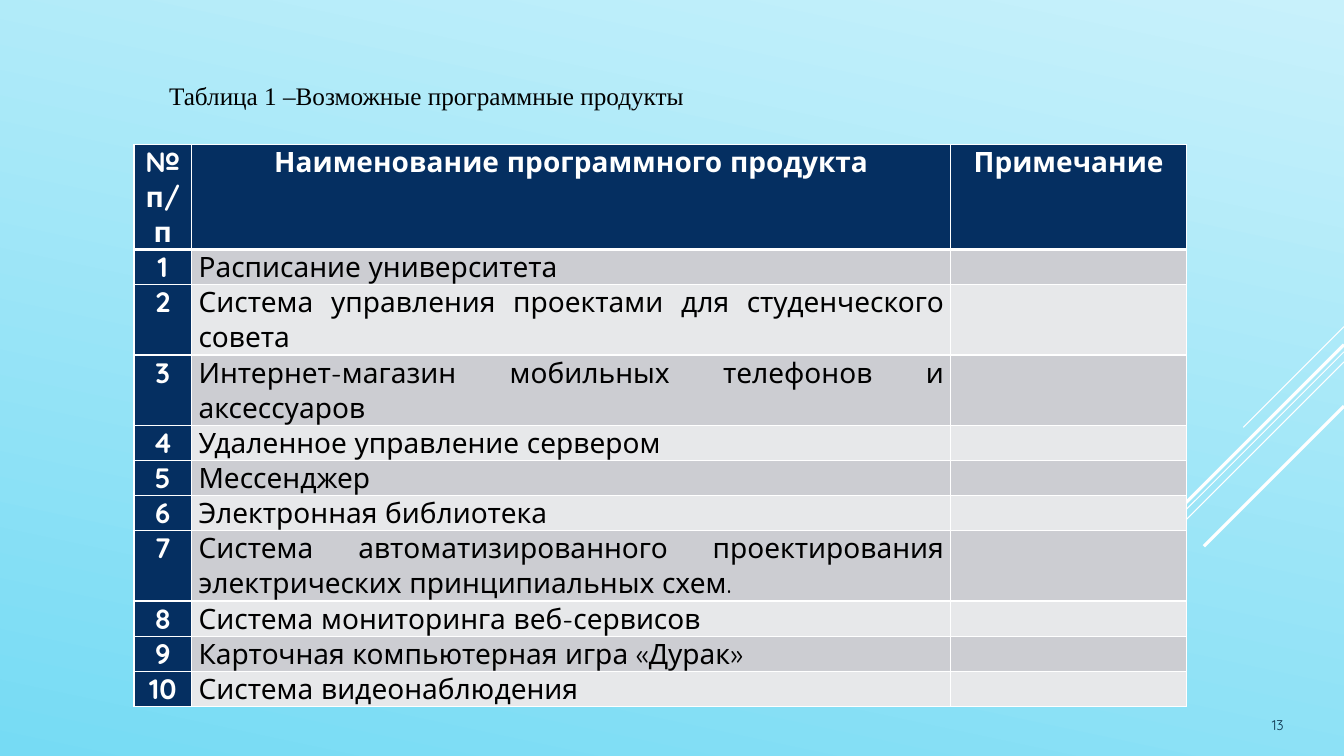
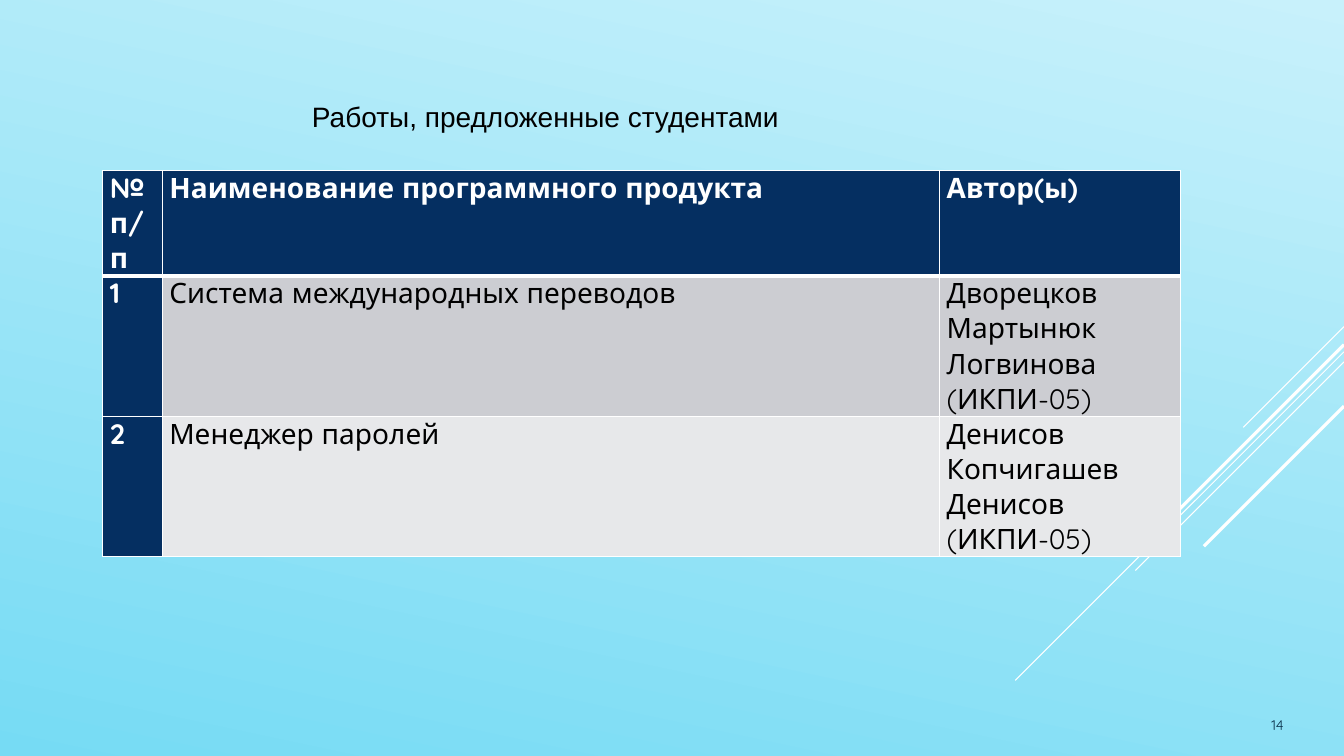
from pptx import Presentation
from pptx.dml.color import RGBColor as RGB
from pptx.enum.shapes import MSO_CONNECTOR as CONN
from pptx.enum.text import MSO_ANCHOR as ANCHOR, MSO_AUTO_SIZE as AUTO, PP_ALIGN as ALIGN
from pptx.oxml import parse_xml
from pptx.oxml.ns import nsdecls
from pptx.util import Emu, Pt

PX = 9144
W, H = 1333, 750
COLORS = {
    "bg_light": "C8F1FB",
    "bg_dark": "76DBF4",
    "white": "FFFFFF",
    "black": "000000",
    "navy": "052F61",
    "number": "0A304A",
    "odd": "CCCDD2",
    "even": "E7E8EA",
}
FONT = "Quicksand"
RAYS = [(324, 100, 0.75), (349, 326, 0.75), (359, 207, 0.75), (342, 191, 2.25), (403, 139, 2.25)]
ROW_LINE = 33
CELL_PAD = 7


def px(n):
    return Emu(n * PX)


def rgb(name):
    return RGB.from_string(COLORS[name])


def add_run(p, text, size, color, font=FONT, bold=False):
    r = p.add_run()
    r.text = text
    r.font.size = Pt(size)
    r.font.name = font
    r.font.bold = bold
    r.font.color.rgb = rgb(color)


def add_background(slide):
    fill = slide.background.fill
    fill.gradient()
    fill.gradient_angle = 360 - 102
    for stop, name in zip(fill.gradient_stops, ("bg_light", "bg_dark")):
        stop.color.rgb = rgb(name)


def add_rays(slide):
    for top, length, width in RAYS:
        ray = slide.shapes.add_connector(
            CONN.STRAIGHT, px(W), px(top), px(W - length), px(top + length))
        ray.line.color.rgb = rgb("white")
        ray.line.width = Pt(width)
        ray._element.spPr.append(parse_xml(f"<a:effectLst {nsdecls('a')}/>"))


def add_text(slide, box, text, size, color, font, align, anchor, wrap):
    sp = slide.shapes.add_textbox(*map(px, box))
    tf = sp.text_frame
    tf.word_wrap = wrap
    tf.auto_size = AUTO.NONE if wrap else AUTO.SHAPE_TO_FIT_TEXT
    tf.vertical_anchor = anchor
    p = tf.paragraphs[0]
    p.alignment = align
    add_run(p, text, size, color, font)


def add_title(slide, box, text, size, font, anchor):
    add_text(slide, box, text, size, "black", font, ALIGN.CENTER, anchor, False)


def add_number(slide, number):
    add_text(slide, (1158, 659, 125, 73), str(number), 10, "number", FONT,
             ALIGN.RIGHT, ANCHOR.BOTTOM, True)


def set_borders(cell, top, bottom):
    tc_pr = cell._tc.get_or_add_tcPr()
    widths = {"L": 1, "R": 1, "T": top, "B": bottom}
    for i, (side, width) in enumerate(widths.items()):
        tc_pr.insert(i, parse_xml(
            f'<a:ln{side} {nsdecls("a")} w="{Pt(width)}"><a:solidFill>'
            f'<a:srgbClr val="{COLORS["white"]}"/></a:solidFill></a:ln{side}>'))


def fill_cell(cell, text, row, col, align):
    strong = row == 0 or col == 0
    cell.margin_left = cell.margin_right = px(CELL_PAD)
    cell.margin_top = cell.margin_bottom = 0
    cell.fill.solid()
    cell.fill.fore_color.rgb = rgb("navy" if strong else "odd" if row % 2 else "even")
    set_borders(cell, 3 if row == 1 else 1, 3 if row == 0 else 1)
    tf = cell.text_frame
    for i, line in enumerate(text.split("\n") if text else []):
        p = tf.add_paragraph() if i else tf.paragraphs[0]
        p.alignment = align if strong else ALIGN.JUSTIFY
        add_run(p, line, 20, "white" if strong else "black", bold=strong)


def add_product_table(slide, left, top, widths, header, items, lines, align):
    rows = [header] + [(str(n), *item) for n, item in enumerate(items, 1)]
    table = slide.shapes.add_table(
        len(rows), len(widths), px(left), px(top), px(sum(widths)),
        px(ROW_LINE * sum(lines))).table
    for column, width in zip(table.columns, widths):
        column.width = px(width)
    for r, (values, count) in enumerate(zip(rows, lines)):
        table.rows[r].height = px(ROW_LINE * count)
        for c, value in enumerate(values):
            fill_cell(table.cell(r, c), value, r, c, align)


def add_base(prs, number):
    slide = prs.slides.add_slide(prs.slide_layouts[6])
    add_background(slide)
    add_rays(slide)
    add_number(slide, number)
    return slide


def add_products_slide(prs):
    slide = add_base(prs, 13)
    products = [
        "Расписание университета",
        "Система управления проектами для студенческого совета",
        "Интернет-магазин мобильных телефонов и аксессуаров",
        "Удаленное управление сервером",
        "Мессенджер",
        "Электронная библиотека",
        "Система автоматизированного проектирования электрических принципиальных схем.",
        "Система мониторинга веб-сервисов",
        "Карточная компьютерная игра «Дурак»",
        "Система видеонаблюдения",
    ]
    add_product_table(
        slide, 133, 143, (57, 753, 234),
        ("№ п/п", "Наименование программного продукта", "Примечание"),
        [(name, "") for name in products],
        (3, 1, 2, 2, 1, 1, 1, 2, 1, 1, 1), ALIGN.CENTER)
    add_title(slide, (155, 75, 536, 40), "Таблица 1 –Возможные программные продукты",
              18, "Times New Roman", ANCHOR.TOP)


def add_students_slide(prs):
    slide = add_base(prs, 14)
    works = [
        ("Система международных переводов", "Дворецков\nМартынюк\nЛогвинова\n(ИКПИ-05)"),
        ("Менеджер паролей", "Денисов\nКопчигашев\nДенисов\n(ИКПИ-05)"),
    ]
    add_product_table(
        slide, 102, 169, (59, 771, 239),
        ("№ п/п", "Наименование программного продукта", "Автор(ы)"),
        works, (3, 4, 4), ALIGN.JUSTIFY)
    add_title(slide, (298, 93, 486, 44), "Работы, предложенные студентами",
              20, "Arial", ANCHOR.MIDDLE)


def main():
    prs = Presentation()
    prs.slide_width, prs.slide_height = px(W), px(H)
    add_products_slide(prs)
    add_students_slide(prs)
    prs.save("out.pptx")


if __name__ == "__main__":
    main()
